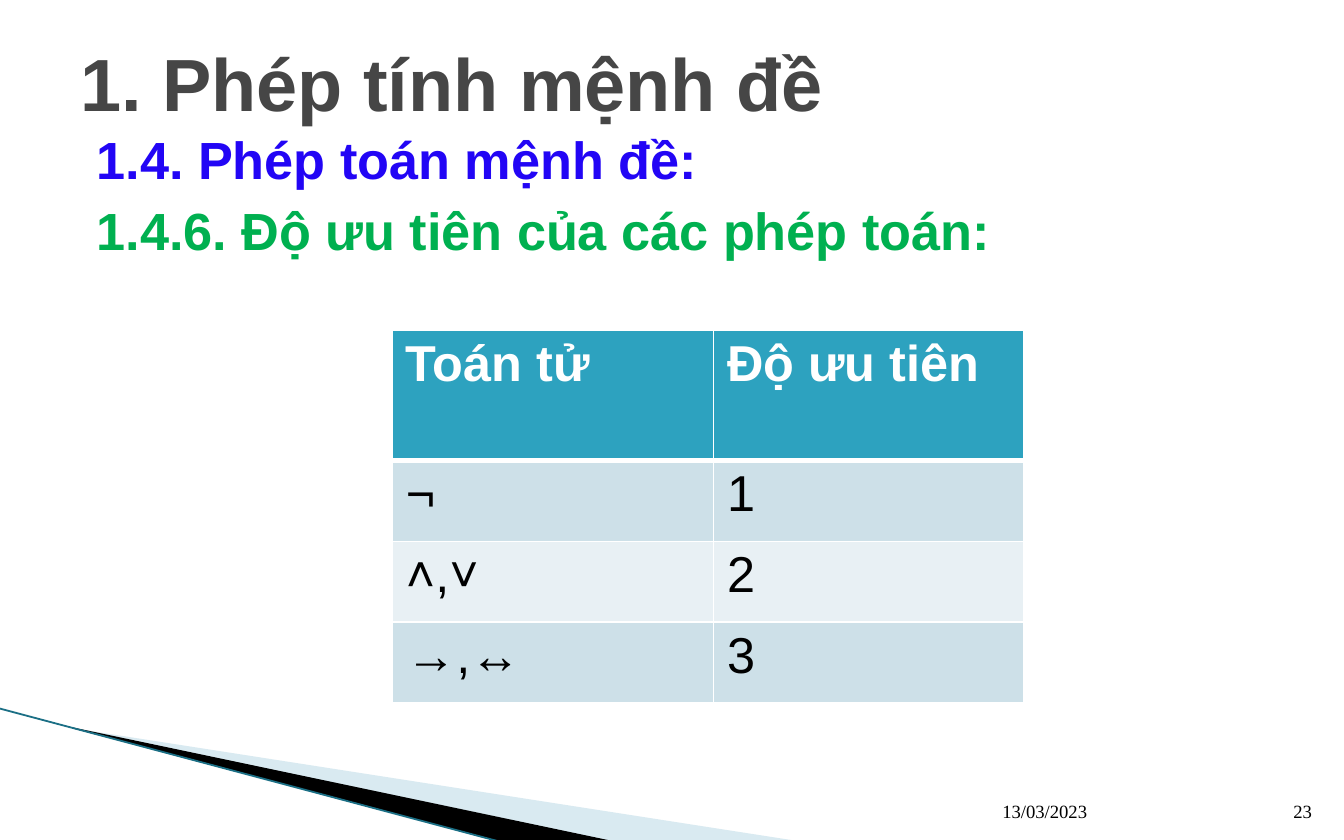
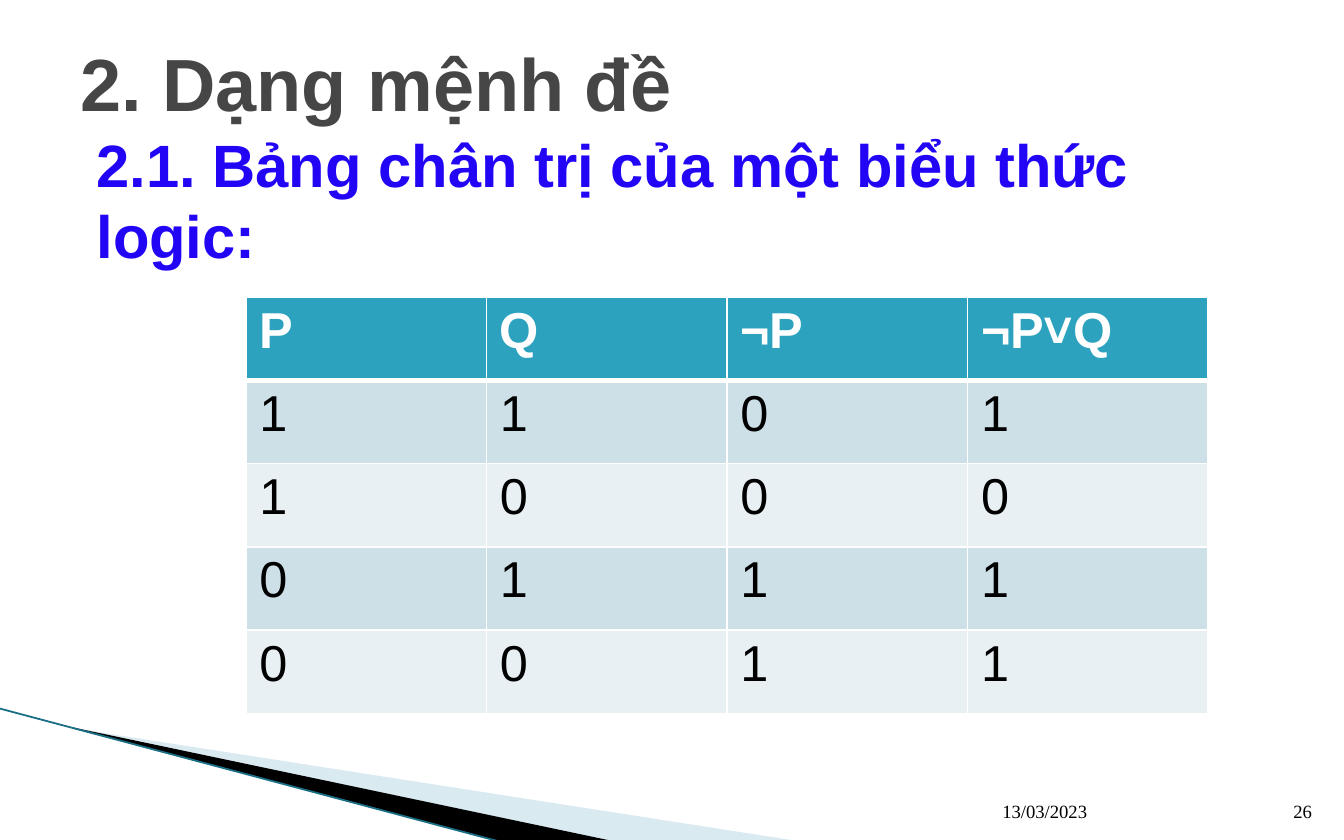
import pptx
import pptx.dml.color
import pptx.enum.shapes
import pptx.enum.text
import pptx.oxml
import pptx.oxml.ns
import pptx.util
from pptx.util import Inches

COLORS = {
    "title": "464646", "blue": "2205F5", "green": "00B050",
    "header": "2DA2BF", "odd_row": "CDE0E8", "even_row": "E8F0F4",
    "pale_band": "A0CBDC", "edge": "1B6F85",
    "black": "000000", "white": "FFFFFF",
}
RGB = {name: pptx.dml.color.RGBColor.from_string(value) for name, value in COLORS.items()}
ANCHOR = pptx.enum.text.MSO_ANCHOR
ALIGN = pptx.enum.text.PP_ALIGN
DATE = "13/03/2023"

BANDS = [
    ("pale_band", 40, [(0.55, 5.42), (5.95, 6.26), (4.56, 6.26)]),
    ("black", 100, [(0.53, 5.41), (4.57, 6.26), (3.72, 6.26), (0.54, 5.42)]),
]

SLIDES = [
    {
        "title": "1. Phép tính mệnh đề",
        "headings": [("1.4. Phép toán mệnh đề:", 28, "blue"),
                     ("1.4.6. Độ ưu tiên của các phép toán:", 28, "green")],
        "table_position": (2.92, 2.46),
        "columns": [2.39, 2.31],
        "row_heights": [0.97, 0.6, 0.6, 0.6],
        "rows": [["Toán tử", "Độ ưu tiên"], ["¬", "1"], ["˄,˅", "2"], ["→,↔", "3"]],
        "number": "23",
    },
    {
        "title": "2. Dạng mệnh đề",
        "headings": [("2.1. Bảng chân trị của một biểu thức logic:", 32, "blue")],
        "table_position": (1.83, 2.21),
        "columns": [1.79] * 4,
        "row_heights": [0.62] * 5,
        "rows": [["P", "Q", "¬P", "¬P˅Q"], "1101", "1000", "0111", "0011"],
        "number": "26",
    },
]


def add_text(slide, box, lines, bold=True, font="Arial", anchor=ANCHOR.TOP, align=ALIGN.LEFT):
    """Add a text box with one paragraph per (text, size, color) and return its paragraphs."""
    text_frame = slide.shapes.add_textbox(*map(Inches, box)).text_frame
    text_frame.word_wrap = True
    text_frame.vertical_anchor = anchor
    text_frame.text = "\n".join(text for text, size, color in lines)
    for paragraph, (text, size, color) in zip(text_frame.paragraphs, lines):
        paragraph.alignment = align
        run_font = paragraph.runs[0].font
        run_font.name, run_font.size, run_font.bold = font, pptx.util.Pt(size), bold
        run_font.color.rgb = RGB[color]
    return text_frame.paragraphs


def set_cell_borders(cell, widths):
    """Draw white borders with widths in points, given by side letter."""
    properties = cell._tc.get_or_add_tcPr()
    for side, width in widths.items():
        properties.append(pptx.oxml.parse_xml(
            f'<a:ln{side} {pptx.oxml.ns.nsdecls("a")} w="{pptx.util.Pt(width)}"><a:solidFill>'
            f'<a:srgbClr val="{COLORS["white"]}"/></a:solidFill></a:ln{side}>'))


presentation = pptx.Presentation()
presentation.slide_width = Inches(10)
presentation.slide_height = Inches(6.25)

for content in SLIDES:
    slide = presentation.slides.add_slide(presentation.slide_layouts[6])

    # Corner bands and their edge line
    for color, opacity, points in BANDS:
        start, *others = [(Inches(x), Inches(y)) for x, y in points]
        builder = slide.shapes.build_freeform(*start)
        builder.add_line_segments(others, close=True)
        band = builder.convert_to_shape()
        band.shadow.inherit = False
        band.line.fill.background()
        band.fill.solid()
        band.fill.fore_color.rgb = RGB[color]
        if opacity < 100:
            color_element = band._element.spPr.find(".//" + pptx.oxml.ns.qn("a:srgbClr"))
            color_element.append(pptx.oxml.parse_xml(
                f'<a:alpha {pptx.oxml.ns.nsdecls("a")} val="{opacity * 1000}"/>'))
    edge = slide.shapes.add_connector(
        pptx.enum.shapes.MSO_CONNECTOR.STRAIGHT,
        Inches(-0.01), Inches(5.27), Inches(3.71), Inches(6.26))
    edge.line.color.rgb = RGB["edge"]
    edge.line.width = pptx.util.Pt(0.95)
    edge._element.spPr.append(pptx.oxml.parse_xml(
        f'<a:effectLst {pptx.oxml.ns.nsdecls("a")}/>'))

    # Headings and title
    for paragraph in add_text(slide, (0.5, 0.9, 9, 4.57), content["headings"]):
        paragraph.space_before = pptx.util.Pt(4)
        paragraph._p.get_or_add_pPr().set("marL", str(Inches(0.12)))
    add_text(slide, (0.5, 0.25, 9, 0.72), [(content["title"], 39.6, "title")],
             anchor=ANCHOR.MIDDLE)

    # Table
    rows, columns, heights = content["rows"], content["columns"], content["row_heights"]
    left, top = content["table_position"]
    table = slide.shapes.add_table(
        len(rows), len(columns), Inches(left), Inches(top),
        Inches(sum(columns)), Inches(sum(heights))).table
    for column, width in zip(table.columns, columns):
        column.width = Inches(width)
    for row_index, (row, height, values) in enumerate(zip(table.rows, heights, rows)):
        row.height = Inches(height)
        is_header = row_index == 0
        fill = "header" if is_header else "odd_row" if row_index % 2 else "even_row"
        borders = {"L": 1, "R": 1, "T": 3 if row_index == 1 else 1, "B": 3 if is_header else 1}
        for cell, value in zip(row.cells, values):
            set_cell_borders(cell, borders)
            cell.fill.solid()
            cell.fill.fore_color.rgb = RGB[fill]
            cell.margin_left = cell.margin_right = Inches(0.1)
            cell.margin_top = cell.margin_bottom = Inches(0.04)
            cell.text_frame.text = value
            font = cell.text_frame.paragraphs[0].runs[0].font
            font.name, font.size, font.bold = "Arial", pptx.util.Pt(27), is_header
            font.color.rgb = RGB["white" if is_header else "black"]

    # Footer
    for box, text, align in [((7.36, 5.84, 2.1, 0.33), DATE, ALIGN.LEFT),
                             ((9.46, 5.84, 0.4, 0.33), content["number"], ALIGN.RIGHT)]:
        add_text(slide, box, [(text, 10, "black")], bold=False, font="Times New Roman",
                 anchor=ANCHOR.BOTTOM, align=align)

presentation.save("out.pptx")
